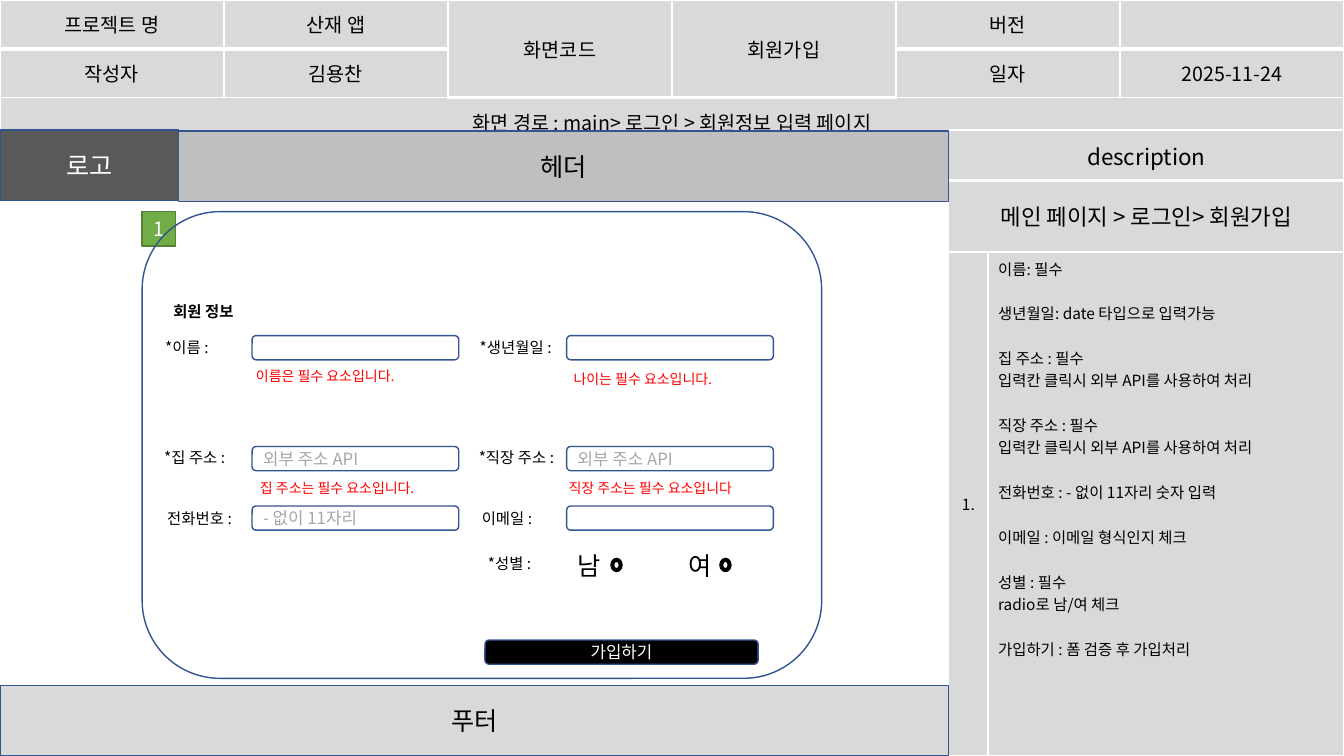
"""Build a sign-up screen specification slide: wireframe, info table and description."""
from lxml import etree
from pptx import Presentation
from pptx.dml.color import RGBColor
from pptx.enum import shapes, text
from pptx.oxml import ns
from pptx.util import Inches, Pt

FONT = "Noto Sans CJK KR"
BLUE, GREY, BLACK, WHITE, RED = "325491", "D9D9D9", "000000", "FFFFFF", "FF0000"
KIND = shapes.MSO_SHAPE
LEFT, MID = text.PP_ALIGN.LEFT, text.PP_ALIGN.CENTER

INFO = [
    ["프로젝트 명", "산재 앱", "화면코드", "회원가입", "버전", ""],
    ["작성자", "김용찬", "", "", "일자", "2025-11-24"],
    ["화면 경로 : main> 로그인 > 회원정보 입력 페이지", "", "", "", "", ""],
]
GUIDE = ["description", "메인 페이지 > 로그인> 회원가입"]
NOTES = [
    ["이름: 필수"],
    ["생년월일: date 타입으로 입력가능"],
    ["집 주소 : 필수", "입력칸 클릭시 외부 API를 사용하여 처리"],
    ["직장 주소 : 필수", "입력칸 클릭시 외부 API를 사용하여 처리"],
    ["전화번호 : - 없이 11자리 숫자 입력"],
    ["이메일 : 이메일 형식인지 체크"],
    ["성별 : 필수", "radio로 남/여 체크"],
    ["가입하기 : 폼 검증 후 가입처리"],
]
BARS = [
    ("헤더", 1.77, 1.3, 7.64, 0.7, "BFBFBF", BLUE, 18, BLACK),
    ("로고", 0, 1.29, 1.77, 0.7, "595959", BLUE, 18, WHITE),
    ("푸터", 0, 6.8, 9.41, 0.7, GREY, BLUE, 18, BLACK),
    ("1", 1.41, 2.1, 0.33, 0.34, "70AD47", "538035", 14, WHITE),
]
COLS, ROWS = (2.5, 5.62), (3.33, 4.43, 5.02)
HINTS = [("", ""), ("외부 주소 API", "외부 주소 API"), ("- 없이 11자리", "")]
LABELS = [
    ("*이름 :", 1.54, 3.31, 0.7), ("*생년월일 :", 4.66, 3.31, 0.96),
    ("*집 주소 :", 1.53, 4.4, 0.86), ("*직장 주소 :", 4.65, 4.4, 0.99),
    ("전화번호 :", 1.56, 5, 0.95), ("이메일 :", 4.68, 5, 0.95),
    ("*성별 :", 4.74, 5.45, 0.95),
]
ERRORS = [
    ("이름은 필수 요소입니다.", 2.44, 3.6), ("나이는 필수 요소입니다.", 5.59, 3.63),
    ("집 주소는 필수 요소입니다.", 2.48, 4.71), ("직장 주소는 필수 요소입니다", 5.54, 4.71),
]
RADIOS = [("남", 5.63, 0.36, 6.06), ("여", 6.73, 0.56, 7.14)]


def paint(hue):
    return RGBColor.from_string(hue)


def write(frame, lines, size, hue=BLACK, align=LEFT, bold=False, gaps=()):
    """Fill a text frame, with one line of space before each index in gaps."""
    for i, line in enumerate(lines):
        para = frame.paragraphs[0] if i == 0 else frame.add_paragraph()
        if line:
            para.text = line
        para.alignment = align
        font = para.font
        font.name, font.size, font.bold = FONT, Pt(size), bold
        font.color.rgb = paint(hue)
        props = para._p.get_or_add_pPr().get_or_add_defRPr()
        etree.SubElement(props, ns.qn("a:ea"), typeface=FONT)
        if i in gaps:
            para.space_before = Pt(16)


def draw(slide, kind, x, y, w, h, fill=None, line=BLUE):
    shape = slide.shapes.add_shape(kind, *map(Inches, (x, y, w, h)))
    shape.shadow.inherit = False
    if fill:
        shape.fill.solid()
        shape.fill.fore_color.rgb = paint(fill)
    else:
        shape.fill.background()
    shape.line.color.rgb = paint(line)
    shape.line.width = Pt(1)
    frame = shape.text_frame
    frame.vertical_anchor = text.MSO_ANCHOR.MIDDLE
    return frame


def label(slide, words, x, y, w, h, size, hue=BLACK, bold=False):
    frame = slide.shapes.add_textbox(*map(Inches, (x, y, w, h))).text_frame
    frame.word_wrap = True
    frame.margin_right = 0
    write(frame, [words], size, hue, bold=bold)


def edge(cell, base):
    """Fill a cell grey and give it white borders."""
    cell.fill.solid()
    cell.fill.fore_color.rgb = paint(GREY)
    props = cell._tc.get_or_add_tcPr()
    for i, (side, width) in enumerate(zip("LRTB", (1, 1, 1, base))):
        line = etree.Element(ns.qn(f"a:ln{side}"), w=str(Pt(width)))
        fill = etree.SubElement(line, ns.qn("a:solidFill"))
        etree.SubElement(fill, ns.qn("a:srgbClr"), val=WHITE)
        props.insert(i, line)


def grid(slide, x, y, cols, rows):
    size = map(Inches, (x, y, sum(cols), sum(rows)))
    table = slide.shapes.add_table(len(rows), len(cols), *size).table
    table.first_row = table.horz_banding = False
    for col, width in zip(table.columns, cols):
        col.width = Inches(width)
    for r, (row, height) in enumerate(zip(table.rows, rows)):
        row.height = Inches(height)
        for cell in row.cells:
            edge(cell, 3 if r == 0 else 1)
    return table


def info(slide):
    table = grid(slide, 0, 0, [13.33 / 6] * 6, [0.41] * 3)
    for r, row in enumerate(INFO):
        for c, words in enumerate(row):
            cell = table.cell(r, c)
            cell.margin_left = cell.margin_right = Inches(0.1)
            cell.margin_top = cell.margin_bottom = Inches(0.1)
            write(cell.text_frame, [words], 14, align=MID)
    for c in (2, 3):
        table.cell(0, c).merge(table.cell(1, c))
        table.cell(0, c).vertical_anchor = text.MSO_ANCHOR.MIDDLE
    table.cell(2, 0).merge(table.cell(2, 5))


def guide(slide):
    table = grid(slide, 9.41, 1.29, [0.39, 3.53], [0.5, 0.71, 5])
    for r, words in enumerate(GUIDE):
        table.cell(r, 0).merge(table.cell(r, 1))
        write(table.cell(r, 0).text_frame, [words], 16, align=MID)
    write(table.cell(2, 0).text_frame, ["1."], 11, align=MID)
    for r in range(3):
        table.cell(r, 0).vertical_anchor = text.MSO_ANCHOR.MIDDLE
    lines, gaps = [], []
    for group in NOTES:
        if lines:
            gaps.append(len(lines))
        lines += group
    write(table.cell(2, 1).text_frame, lines, 11, gaps=gaps)


def form(slide):
    for words, x, y, w, h, fill, line, size, hue in BARS:
        write(draw(slide, KIND.RECTANGLE, x, y, w, h, fill, line), [words], size, hue, MID)
    for y, hints in zip(ROWS, HINTS):
        for x, hint in zip(COLS, hints):
            frame = draw(slide, KIND.ROUNDED_RECTANGLE, x, y, 2.05, 0.24, WHITE)
            if hint:
                write(frame, [hint], 12, "A6A6A6")
    label(slide, "회원 정보", 1.62, 2.95, 1.09, 0.29, 11, bold=True)
    for words, x, y, w in LABELS:
        label(slide, words, x, y, w, 0.29, 11)
    for words, x, y in ERRORS:
        label(slide, words, x, y, 4.41, 0.27, 10, RED)
    draw(slide, KIND.ROUNDED_RECTANGLE, 1.41, 2.1, 6.74, 4.63)
    for words, x, w, dot in RADIOS:
        label(slide, words, x, 5.41, w, 0.4, 18)
        draw(slide, KIND.DONUT, dot, 5.54, 0.11, 0.13, BLACK, BLACK)
    send = draw(slide, KIND.ROUNDED_RECTANGLE, 4.81, 6.35, 2.71, 0.24, BLACK)
    write(send, ["가입하기"], 12, WHITE, MID)


def main():
    deck = Presentation()
    deck.slide_width, deck.slide_height = Inches(13.33), Inches(7.5)
    slide = deck.slides.add_slide(deck.slide_layouts[6])
    info(slide)
    guide(slide)
    form(slide)
    deck.save("out.pptx")


if __name__ == "__main__":
    main()
